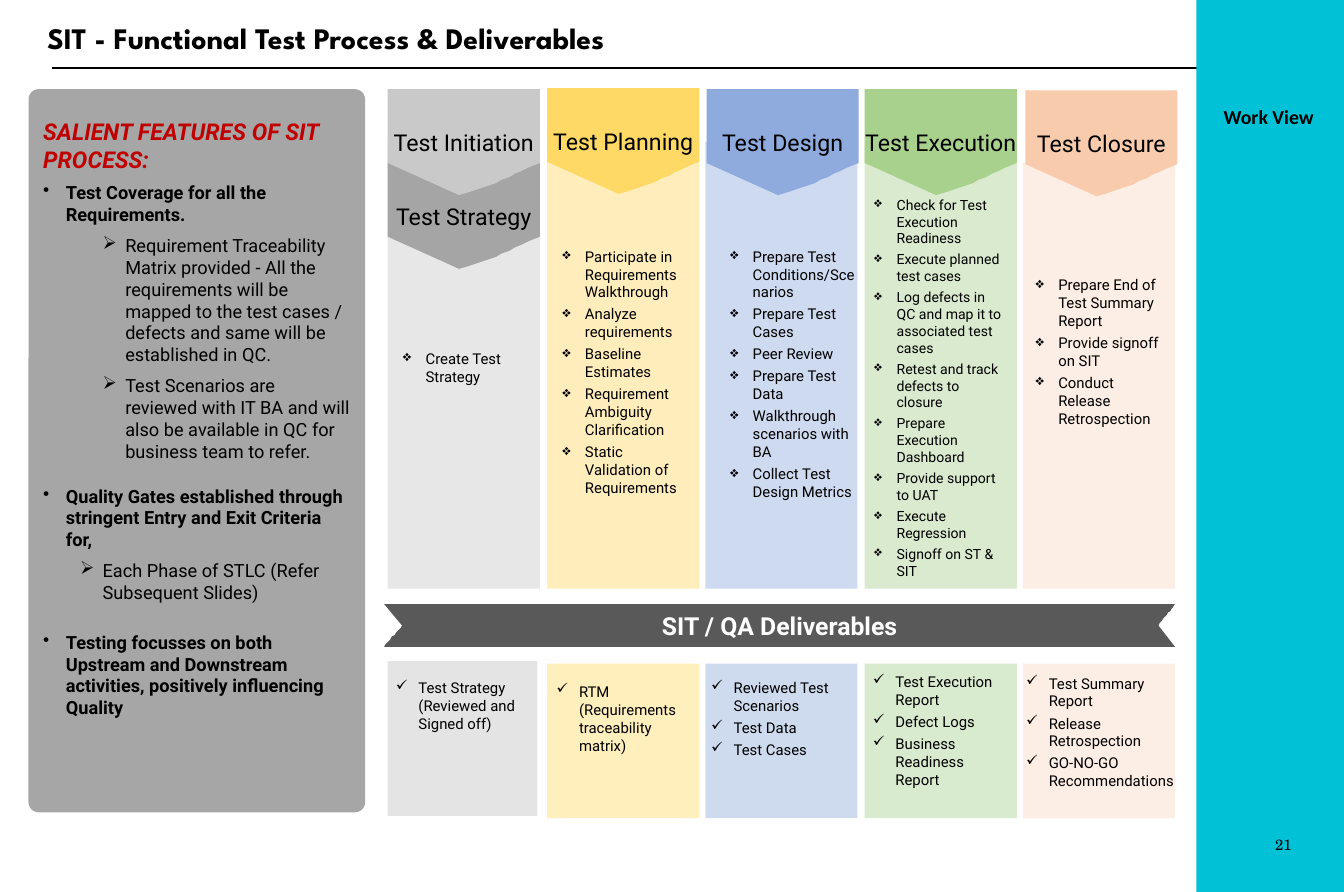
from lxml.etree import SubElement
from pptx import Presentation
from pptx.dml.color import RGBColor
from pptx.enum.shapes import MSO_CONNECTOR, MSO_SHAPE
from pptx.enum.text import MSO_ANCHOR, PP_ALIGN
from pptx.oxml.ns import qn
from pptx.util import Pt

SCALE = 9144  # EMU per px, 100 px to the inch

BLACK = RGBColor(0x00, 0x00, 0x00)
WHITE = RGBColor(0xFF, 0xFF, 0xFF)
TEAL = RGBColor(0x01, 0xC1, 0xD6)
RED = RGBColor(0xC0, 0x00, 0x00)
PANEL_GRAY = RGBColor(0xA6, 0xA6, 0xA6)
STRATEGY_GRAY = RGBColor(0xA5, 0xA5, 0xA5)
RIBBON_GRAY = RGBColor(0x59, 0x59, 0x59)

# Phases: title, (arrow shift, arrow top, arrow colour), (body top, body colour),
# (text left, top, width, size), activities
PHASES = [
    ("Test Initiation", (0, 75, RGBColor(0xC9, 0xC9, 0xC9)), (119, RGBColor(0xDB, 0xDB, 0xDB)),
     (329, 289, 123, 9), ["Create Test Strategy"]),
    ("Test Planning", (0, 74, RGBColor(0xFF, 0xD9, 0x66)), (120, RGBColor(0xFF, 0xE6, 0x99)),
     (463, 203, 126, 9),
     ["Participate in Requirements Walkthrough", "Analyze requirements", "Baseline Estimates",
      "Requirement Ambiguity Clarification", "Static Validation of Requirements"]),
    ("Test Design", (1, 75, RGBColor(0x8F, 0xAA, 0xDC)), (119, RGBColor(0xB4, 0xC7, 0xE7)),
     (604, 203, 128, 9),
     ["Prepare Test Conditions/Scenarios", "Prepare Test Cases", "Peer Review",
      "Prepare Test Data", "Walkthrough scenarios with BA", "Collect Test Design Metrics"]),
    ("Test Execution", (0, 75, RGBColor(0xA9, 0xD1, 0x8E)), (119, RGBColor(0xC5, 0xE0, 0xB4)),
     (725, 160, 128, 8.5),
     ["Check for Test Execution Readiness", "Execute planned test cases",
      "Log defects in QC and map it to associated test cases",
      "Retest and track defects to closure", "Prepare Execution Dashboard",
      "Provide support to UAT", "Execute Regression", "Signoff on ST & SIT"]),
    ("Test Closure", (2, 76, RGBColor(0xF8, 0xCB, 0xAD)), (137, RGBColor(0xFB, 0xE5, 0xD6)),
     (861, 227, 126, 9),
     ["Prepare End of Test Summary Report", "Provide signoff on SIT",
      "Conduct Release Retrospection"]),
]

# Deliverables: (box top, width, colour, opacity %), (text left, top, width), items
DELIVERABLES = [
    ((556, 126, RGBColor(0xD0, 0xCE, 0xCE), 54), (323, 566, 127),
     ["Test Strategy (Reviewed and Signed off)"]),
    ((558, 128, RGBColor(0xFF, 0xEF, 0xBD), 100), (458, 569, 121),
     ["RTM (Requirements traceability matrix)"]),
    ((558, 128, RGBColor(0xCE, 0xDB, 0xEF), 100), (588, 566, 143),
     ["Reviewed Test Scenarios", "Test Data", "Test Cases"]),
    ((558, 128, RGBColor(0xD9, 0xEB, 0xCE), 100), (724, 561, 127),
     ["Test Execution Report", "Defect Logs", "Business Readiness Report"]),
    ((558, 128, RGBColor(0xFC, 0xEE, 0xE4), 100), (853, 562, 146),
     ["Test Summary Report", "Release Retrospection", "GO-NO-GO Recommendations"]),
]

# Salient features: text, bullet, left margin, space before in points
FEATURES_TITLE = "SALIENT FEATURES OF SIT PROCESS:"
FEATURES = [
    ("Test Coverage for all the Requirements.", "•", 19, 5.5),
    ("Requirement Traceability Matrix provided - All the requirements will be mapped to "
     "the test cases / defects and same will be established in QC.", "➢", 69, 5.5),
    ("Test Scenarios are reviewed with IT BA and will also be available in QC for business "
     "team to refer.", "➢", 69, 5.5),
    ("Quality Gates established through stringent Entry and Exit Criteria for,", "•", 19, 14),
    ("Each Phase of STLC (Refer Subsequent Slides)", "➢", 50, 5.5),
    ("Testing focusses on both Upstream and Downstream activities, positively influencing "
     "Quality", "•", 19, 17),
]

presentation = Presentation()
presentation.slide_width, presentation.slide_height = 1130 * SCALE, 750 * SCALE
slide = presentation.slides.add_slide(presentation.slide_layouts[6])


def paint(shape, color, opacity=100):
    shape.shadow.inherit = False
    shape.line.fill.background()
    shape.fill.solid()
    shape.fill.fore_color.rgb = color
    if opacity < 100:
        color_element = shape._element.spPr.find(qn("a:solidFill")).find(qn("a:srgbClr"))
        SubElement(color_element, qn("a:alpha"), val=str(opacity * 1000))
    return shape


def add_block(left, top, width, height, color, opacity=100, kind=MSO_SHAPE.RECTANGLE):
    box = [length * SCALE for length in (left, top, width, height)]
    return paint(slide.shapes.add_shape(kind, *box), color, opacity)


def add_text_frame(left, top, width, height):
    box = [length * SCALE for length in (left, top, width, height)]
    frame = slide.shapes.add_textbox(*box).text_frame
    frame.word_wrap = True
    return frame


def write(paragraph, text, size, name="Roboto", color=BLACK, bold=False, italic=False,
          align=PP_ALIGN.LEFT, bullet=None, margin=19):
    paragraph.text = text
    paragraph.alignment = align
    if bullet:
        properties = paragraph._p.get_or_add_pPr()
        properties.set("marL", str(margin * SCALE))
        properties.set("indent", str(-19 * SCALE))
        SubElement(properties, qn("a:buChar"), char=bullet)
    font = paragraph.font
    font.size, font.name, font.bold, font.italic = Pt(size), name, bold, italic
    font.color.rgb = color


def add_list(left, top, width, height, items, bullet, size=9):
    frame = add_text_frame(left, top, width, height)
    for index, item in enumerate(items):
        paragraph = frame.add_paragraph() if index else frame.paragraphs[0]
        write(paragraph, item, size, bullet=bullet)
        paragraph.space_after = Pt(2.5)


def curve(start, control_1, control_2, end, steps=12):
    corners = (start, control_1, control_2, end)
    points = []
    for step in range(1, steps + 1):
        t = step / steps
        weights = ((1 - t) ** 3, 3 * t * (1 - t) ** 2, 3 * t * t * (1 - t), t ** 3)
        points.append(tuple(sum(weight * corner[axis] for weight, corner in zip(weights, corners))
                            for axis in (0, 1)))
    return points


def add_outline(points, fill_color, text, size, **style):
    builder = slide.shapes.build_freeform(*points[0], scale=SCALE)
    builder.add_line_segments(points[1:], close=True)
    shape = paint(builder.convert_to_shape(), fill_color)
    frame = shape.text_frame
    frame.word_wrap = False
    frame.vertical_anchor = MSO_ANCHOR.MIDDLE
    write(frame.paragraphs[0], text, size, align=PP_ALIGN.CENTER, **style)


def add_arrow(left, top, color, text):
    right, shoulder = left + 128, top + 62
    tip = curve((right, shoulder), (right - 21, top + 70), (right - 41, top + 83),
                (left + 60, top + 89))
    add_outline([(left, top), (right, top), (right, shoulder), *tip, (left, shoulder)],
                color, text, 14)


# Title rule and side bar
rule = slide.shapes.add_connector(MSO_CONNECTOR.STRAIGHT, 44 * SCALE, 57 * SCALE,
                                  1086 * SCALE, 57 * SCALE)
rule.line.color.rgb = BLACK
rule.line.width = Pt(1)
SubElement(rule._element.spPr, qn("a:effectLst"))
add_block(1006, 0, 125, 750, TEAL)
write(add_text_frame(1019, 83, 100, 36).paragraphs[0], "Work View", 12, "Calibri", bold=True)

# Page number and title
number = add_block(1026, 700, 60, 20, TEAL).text_frame
number.margin_left = number.margin_right = number.margin_top = number.margin_bottom = 0
number.vertical_anchor = MSO_ANCHOR.MIDDLE
write(number.paragraphs[0], "21", 9, "TeX Gyre Schola", align=PP_ALIGN.RIGHT)
title = add_text_frame(30, 16, 973, 31)
title.vertical_anchor = MSO_ANCHOR.MIDDLE
write(title.paragraphs[0], "SIT - Functional Test Process & Deliverables", 18,
      "League Spartan", bold=True)

# Phase columns
column_lefts = [326 + (267 * index + 1) // 2 for index in range(len(PHASES))]
for left, (_, _, (top, color), _, _) in zip(column_lefts, PHASES):
    add_block(left, top, 128, 495 - top, color, 65)
add_arrow(column_lefts[0], 137, STRATEGY_GRAY, "Test Strategy")
for left, (name, (shift, top, color), _, place, activities) in zip(column_lefts, PHASES):
    add_arrow(left + shift, top, color, name)
    text_left, text_top, text_width, size = place
    add_list(text_left, text_top, text_width, 495 - text_top, activities, "❖", size)

# Deliverables ribbon and boxes
right_notch = curve((988, 508), (985, 514), (977, 520), (974, 526))
left_notch = curve((323, 544), (326, 538), (335, 532), (338, 526))
add_outline([(323, 508), (988, 508), *right_notch, (988, 544), (323, 544), *left_notch],
            RIBBON_GRAY, "SIT / QA Deliverables", 15, color=WHITE, bold=True)
for left, ((top, width, color, opacity), _, _) in zip(column_lefts, DELIVERABLES):
    add_block(left, top, width, 130, color, opacity)
for _, (left, top, width), items in DELIVERABLES:
    add_list(left, top, width, 110, items, "✓")

# Salient features panel
panel = add_block(24, 75, 283, 608, PANEL_GRAY, kind=MSO_SHAPE.ROUNDED_RECTANGLE)
panel.adjustments[0] = 0.03
features = panel.text_frame
features.word_wrap = True
features.vertical_anchor = MSO_ANCHOR.TOP
features.margin_top = 21 * SCALE
write(features.paragraphs[0], FEATURES_TITLE, 14, color=RED, bold=True, italic=True)
for text, bullet, margin, space in FEATURES:
    paragraph = features.add_paragraph()
    write(paragraph, text, 11, bold=bullet == "•", bullet=bullet, margin=margin)
    paragraph.level = 0 if bullet == "•" else 1
    paragraph.space_before = Pt(space)

presentation.save("out.pptx")
